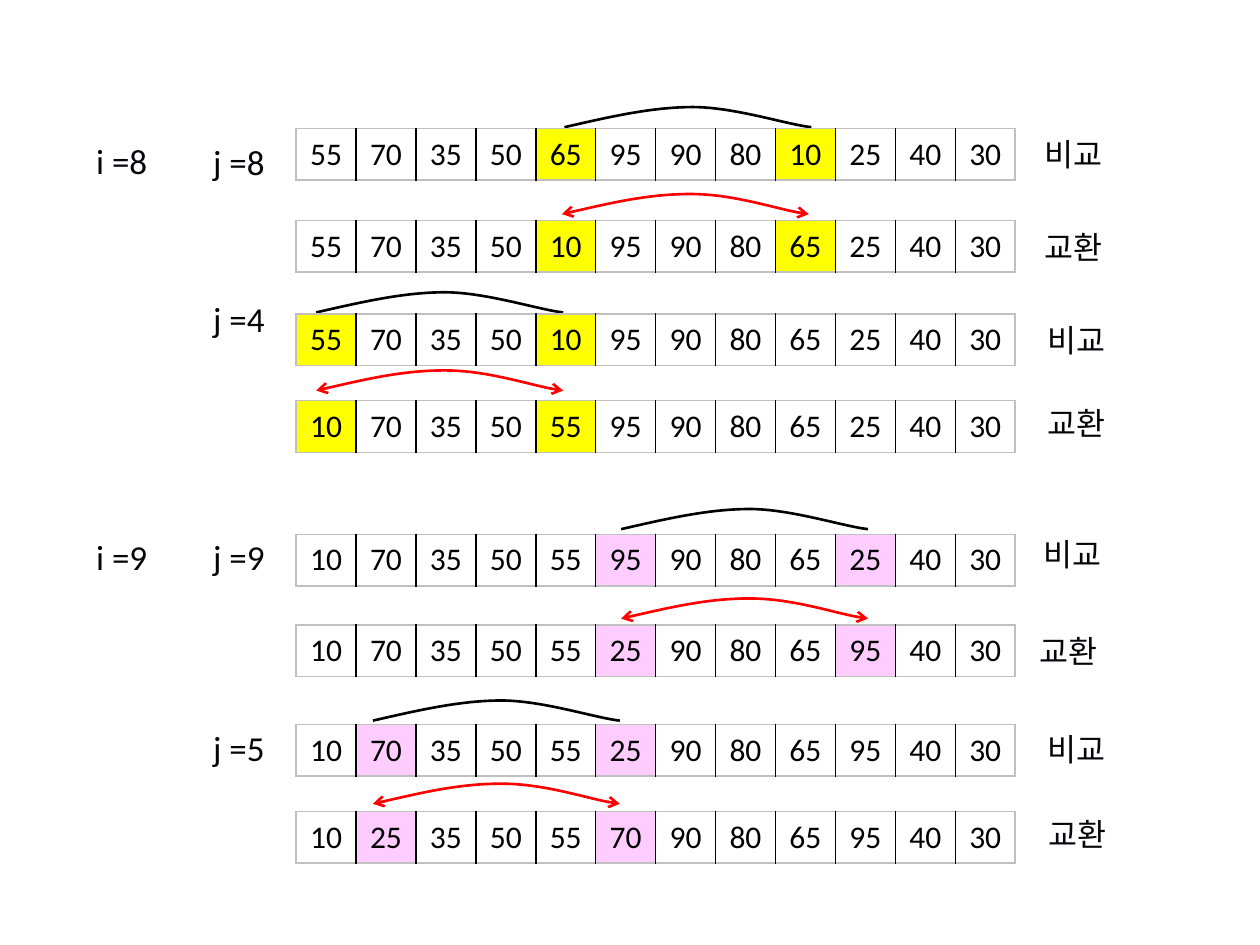
from lxml import etree
from pptx import Presentation
from pptx.dml.color import RGBColor
from pptx.enum.text import MSO_ANCHOR, MSO_AUTO_SIZE, PP_ALIGN
from pptx.oxml import parse_xml
from pptx.oxml.ns import nsdecls, qn
from pptx.util import Inches, Pt

CENTER, MIDDLE = PP_ALIGN.CENTER, MSO_ANCHOR.MIDDLE
GROW = MSO_AUTO_SIZE.SHAPE_TO_FIT_TEXT
BLACK = RGBColor(0x00, 0x00, 0x00)
INK = RGBColor(0x05, 0x05, 0x0B)
RED = RGBColor(0xFF, 0x00, 0x00)
GRAY = RGBColor(0xC0, 0xC0, 0xC0)
WHITE = RGBColor(0xFF, 0xFF, 0xFF)
YELLOW = RGBColor(0xFF, 0xFF, 0x00)
PINK = RGBColor(0xFF, 0xCC, 0xFF)
LATIN, KOREAN = "Calibri", "Noto Sans CJK KR"

# Grid of the arrays, in inches
ARRAY_LEFT, ARRAY_WIDTH, ROW_HEIGHT = 2.35, 5.71, 0.41
I_LEFT, J_LEFT = 0.52, 1.45
# Arc from its left end: start point and two cubic curves
ARC = [(0, 0.16), (0.35, 0.08), (0.69, 0), (1.02, 0),
       (1.35, 0), (1.77, 0.14), (1.96, 0.16)]

prs = Presentation()
prs.slide_width, prs.slide_height = Inches(10), Inches(7.5)
slide = prs.slides.add_slide(prs.slide_layouts[6])


def write(frame, text, size, font, color):
    paragraph = frame.paragraphs[0]
    paragraph.alignment = CENTER
    run = paragraph.add_run()
    run.text = text
    run.font.size, run.font.name = Pt(size), font
    run.font.color.rgb = color
    etree.SubElement(run.font._element, qn("a:ea"), typeface=font)


def label(text, left, top, width, height, size, font):
    box = slide.shapes.add_textbox(*map(Inches, (left, top, width, height)))
    frame = box.text_frame
    frame.word_wrap, frame.auto_size = True, GROW
    frame.vertical_anchor = MIDDLE
    write(frame, text, size, font, INK)


# Loop counters: text, left, top
for text, left, top in [(" i =8", I_LEFT, 1.05), (" j =8", J_LEFT, 1.06),
                        (" j =4", J_LEFT, 2.31), (" i =9", I_LEFT, 4.2),
                        (" j =9", J_LEFT, 4.2), (" j =5", J_LEFT, 5.71)]:
    label(text, left, top, 0.83, 0.44, 20, LATIN)

# Each step compares two cells, then swaps them:
# cells, highlight, then per row (array top, arc left, arc top, label left, label top)
steps = [
    ((4, 8), YELLOW, (1.02, 4.48, 0.85, 7.98, 1.02), (1.75, 4.46, 1.54, 7.98, 1.76)),
    ((0, 4), YELLOW, (2.49, 2.51, 2.32, 8, 2.5), (3.18, 2.51, 2.94, 8, 3.16)),
    ((5, 9), PINK, (4.24, 4.93, 4.04, 7.97, 4.2), (4.96, 4.93, 4.75, 7.94, 4.97)),
    ((1, 5), PINK, (5.75, 2.96, 5.56, 8, 5.74), (6.44, 2.96, 6.22, 8.01, 6.42)),
]
values = [55, 70, 35, 50, 65, 95, 90, 80, 10, 25, 40, 30]
last = len(values) - 1

for (low, high), highlight, compare, swap in steps:
    for action, row in (("비교", compare), ("교환", swap)):
        array_top, arc_left, arc_top, label_left, label_top = row
        swapping = row is swap
        if swapping:
            values[low], values[high] = values[high], values[low]

        # Arc over the two cells: points first, then joined as cubic curves
        points = [(Inches(arc_left + x), Inches(arc_top + y)) for x, y in ARC]
        builder = slide.shapes.build_freeform(*points[0])
        builder.add_line_segments(points[1:], close=False)
        arc = builder.convert_to_shape()
        arc.shadow.inherit = False
        arc.fill.background()
        arc.line.color.rgb = RED if swapping else BLACK
        arc.line.width = Pt(1.5)
        segments = list(arc._element.iter(qn("a:lnTo")))
        outline = segments[0].getparent()
        for start in (0, 3):
            curve = etree.SubElement(outline, qn("a:cubicBezTo"))
            for segment in segments[start:start + 3]:
                curve.append(segment[0])
                outline.remove(segment)
        if swapping:
            for end in ("a:headEnd", "a:tailEnd"):
                etree.SubElement(arc.line._get_or_add_ln(), qn(end), type="arrow")

        # Array as a one-row table
        frame = slide.shapes.add_table(
            1, len(values), Inches(ARRAY_LEFT), Inches(array_top),
            Inches(ARRAY_WIDTH), Inches(ROW_HEIGHT))
        array = frame.table
        array.first_row = array.horz_banding = False
        for column, value in enumerate(values):
            cell = array.cell(0, column)
            cell.vertical_anchor = MIDDLE
            write(cell.text_frame, str(value), 18, LATIN, BLACK)
            borders = {"lnL": BLACK if column else GRAY,
                       "lnR": BLACK if column < last else GRAY,
                       "lnT": GRAY, "lnB": GRAY}
            for side, color in borders.items():
                cell._tc.get_or_add_tcPr().append(parse_xml(
                    f'<a:{side} {nsdecls("a")} w="{Pt(1)}"><a:solidFill>'
                    f'<a:srgbClr val="{color}"/></a:solidFill></a:{side}>'))
            cell.fill.solid()
            cell.fill.fore_color.rgb = highlight if column in (low, high) else WHITE

        label(action, label_left, label_top, 1.08, 0.4, 18, KOREAN)

prs.save("out.pptx")
